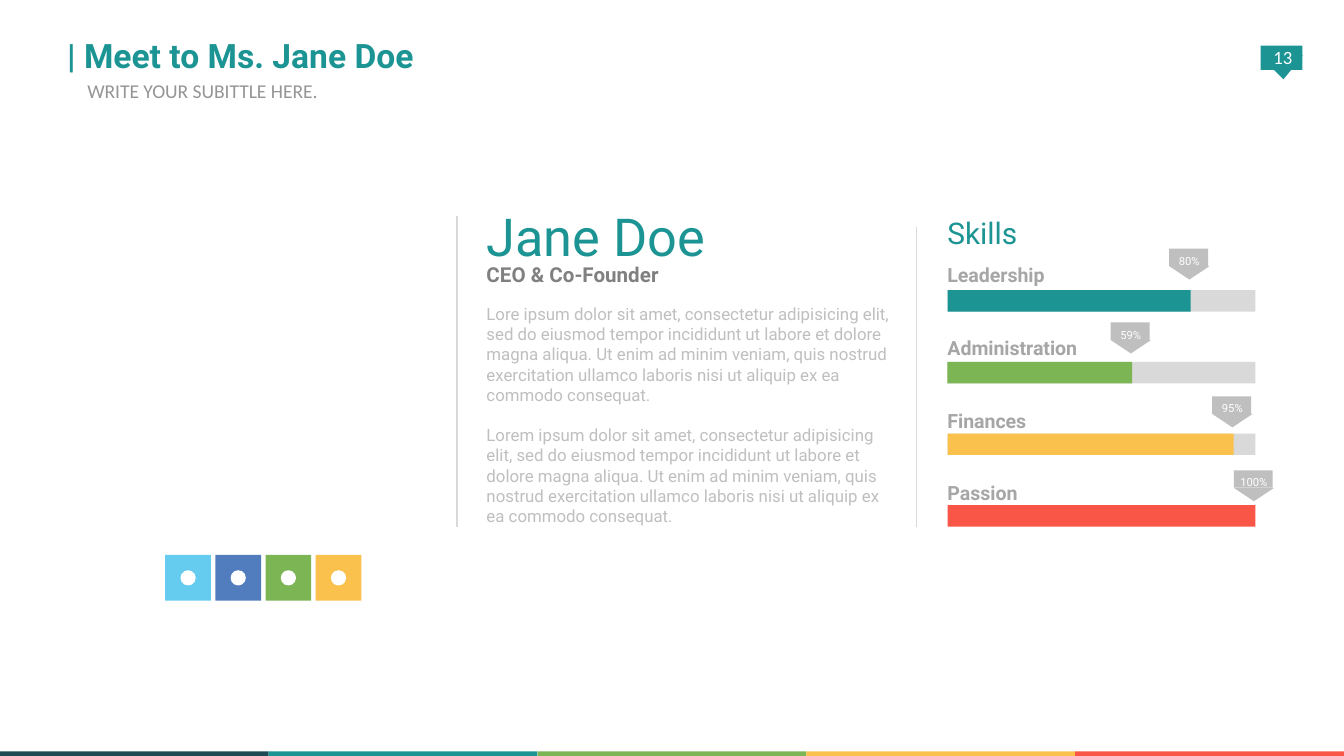
from pptx import Presentation
from pptx.dml.color import RGBColor
from pptx.enum.shapes import MSO_CONNECTOR, MSO_SHAPE
from pptx.enum.text import MSO_ANCHOR, MSO_AUTO_SIZE, PP_ALIGN
from pptx.oxml.ns import qn
from pptx.util import Emu, Pt
from lxml import etree

RECT, TRI, OVAL = MSO_SHAPE.RECTANGLE, MSO_SHAPE.ISOSCELES_TRIANGLE, MSO_SHAPE.OVAL
LINE = MSO_CONNECTOR.STRAIGHT
TOP, MID = MSO_ANCHOR.TOP, MSO_ANCHOR.MIDDLE
LEFT, CENTER = PP_ALIGN.LEFT, PP_ALIGN.CENTER
FIXED = MSO_AUTO_SIZE.NONE

TEAL, GREEN, GOLD, RED = "1C9494", "7CB554", "FAC14D", "F95647"
NAVY, SKY, BLUE, WHITE = "1D4A53", "65CCEF", "517CBE", "FFFFFF"
PALE, SOFT, TAG = "D9D9D9", "BFBFBF", "BFBFC0"

# The slide is a grid of 100 columns by 56.25 rows with square cells.
COLS, ROWS = 100, 56.25
CELL = 91440

LOREM = (" ipsum dolor sit amet, consectetur adipisicing elit, sed do eiusmod "
         "tempor incididunt ut labore et dolore magna aliqua. Ut enim ad minim "
         "veniam, quis nostrud exercitation ullamco laboris nisi ut aliquip ex "
         "ea commodo consequat.")


def grid(*cells):
    return [Emu(round(c * CELL)) for c in cells]


def color(code):
    return RGBColor.from_string(code)


def block(slide, kind, box, fill, turn=0):
    shape = slide.shapes.add_shape(kind, *grid(*box))
    shape.shadow.inherit = False
    shape.fill.solid()
    shape.fill.fore_color.rgb = color(fill)
    shape.line.fill.background()
    shape.rotation = turn


def write(shape, paras, size, tone, font="Roboto", bold=False, align=LEFT,
          anchor=TOP, inset=(0, 0.5, 0, 0), gap=0):
    """Fill a shape's text frame; inset is left, top, right, bottom in cells."""
    frame = shape.text_frame
    frame.word_wrap = True
    frame.auto_size = FIXED
    frame.vertical_anchor = anchor
    (frame.margin_left, frame.margin_top,
     frame.margin_right, frame.margin_bottom) = grid(*inset)
    for i, text in enumerate(paras):
        para = frame.add_paragraph() if i else frame.paragraphs[0]
        para.alignment = align
        para.space_before = Pt(gap if i else 0)
        run = para.add_run()
        run.text = text
        run.font.name, run.font.size, run.font.bold = font, Pt(size), bold
        run.font.color.rgb = color(tone)


def label(slide, box, text, size, tone, **style):
    paras = [text] if isinstance(text, str) else text
    write(slide.shapes.add_textbox(*grid(*box)), paras, size, tone, **style)


def rule(slide, x, top, end):
    line = slide.shapes.add_connector(LINE, *grid(x, top, x, end))
    line.line.color.rgb = color(PALE)
    line.line.width = Pt(1)
    etree.SubElement(line._element.spPr, qn("a:effectLst"))


def header(slide, x, y):
    title = slide.shapes.title
    title.left, title.top, title.width, title.height = grid(x, y, 75.1, 4)
    write(title, ["| Meet to Ms. Jane Doe"], 18, TEAL, bold=True,
          inset=(0, 0, 1, 0))
    label(slide, (x + 1.5, y + 3.3, 73.4, 2.9), "WRITE YOUR SUBITTLE HERE.",
          10.5, "959596", font="Calibri", inset=(0, 0, 1, 0))


def badge(slide, x, y):
    """Page number in a speech-bubble flag."""
    block(slide, RECT, (x, y, 3.1, 1.8), TEAL)
    block(slide, TRI, (x + 0.1, y + 0.8, 3.1, 1.7), TEAL, 176.8)
    label(slide, (x + 0.2, y - 0.4, 2.9, 3), "13", 10, WHITE, font="Calibri",
          align=CENTER, anchor=MID, inset=(0, 0, 0, 0.5))


def stripe(slide, y, high):
    tones = (NAVY, TEAL, GREEN, GOLD, RED)
    wide = COLS / len(tones)
    for i, tone in enumerate(tones):
        block(slide, RECT, (i * wide, y, wide, high), tone)


def profile(slide, x, y, wide):
    label(slide, (x, y, 20.2, 5.2), "Jane Doe", 28, TEAL)
    label(slide, (x, y + 4.3, wide, 2.4), "CEO & Co-Founder", 11, "808080",
          bold=True)
    label(slide, (x, y + 7.4, wide, 17.2), ["Lore" + LOREM, "Lorem" + LOREM],
          9, SOFT, gap=10.8)


def flag(slide, x, y, text):
    """Percentage tag that points down at the end of a bar."""
    block(slide, RECT, (x, y, 2.9, 1.3), TAG)
    block(slide, TRI, (x, y + 1.3, 3, 1), TAG, 180)
    label(slide, (x - 0.15, y - 0.1, 3.3, 1.5), text, 6, WHITE, align=CENTER)


def skills(slide, x, y, wide):
    label(slide, (x, y, 9.6, 3.2), "Skills", 16, TEAL)
    rows = (("Leadership", "80%", 0.79, TEAL),
            ("Administration", "59%", 0.6, GREEN),
            ("Finances", "95%", 0.93, GOLD),
            ("Passion", "100%", 1, RED))
    for i, (name, score, share, tone) in enumerate(rows):
        bar = y + 6.1 + 5.33 * i
        if share < 1:
            block(slide, RECT, (x, bar, wide, 1.6), PALE)
        block(slide, RECT, (x, bar, wide * share, 1.6), tone)
        label(slide, (x, y + 3.6 + 5.4 * i, 10.7, 2.3), name, 10.5, "A6A6A6",
              bold=True)
        flag(slide, x + wide * share - 1.6, y + 3 + 5.5 * i, score)


def tiles(slide, x, y, side, step):
    """Row of social tiles, each with a plain dot."""
    dot = side / 3
    inner = (side - dot) / 2
    for i, tone in enumerate((SKY, BLUE, GREEN, GOLD)):
        left = x + i * step
        block(slide, RECT, (left, y, side, side), tone)
        block(slide, OVAL, (left + inner, y + inner, dot, dot), WHITE)


def main():
    deck = Presentation()
    deck.slide_width, deck.slide_height = grid(COLS, ROWS)
    slide = deck.slides.add_slide(deck.slide_layouts[5])
    badge(slide, 93.8, 3.4)
    stripe(slide, 55.9, 0.8)
    rule(slide, 34, 16.1, 39.2)
    rule(slide, 68.2, 16.9, 39.2)
    profile(slide, 36.2, 14.7, 30.4)
    skills(slide, 70.5, 15.5, 22.9)
    tiles(slide, 12.3, 41.3, 3.4, 3.73)
    header(slide, 5, 2.6)
    deck.save("out.pptx")


if __name__ == "__main__":
    main()
